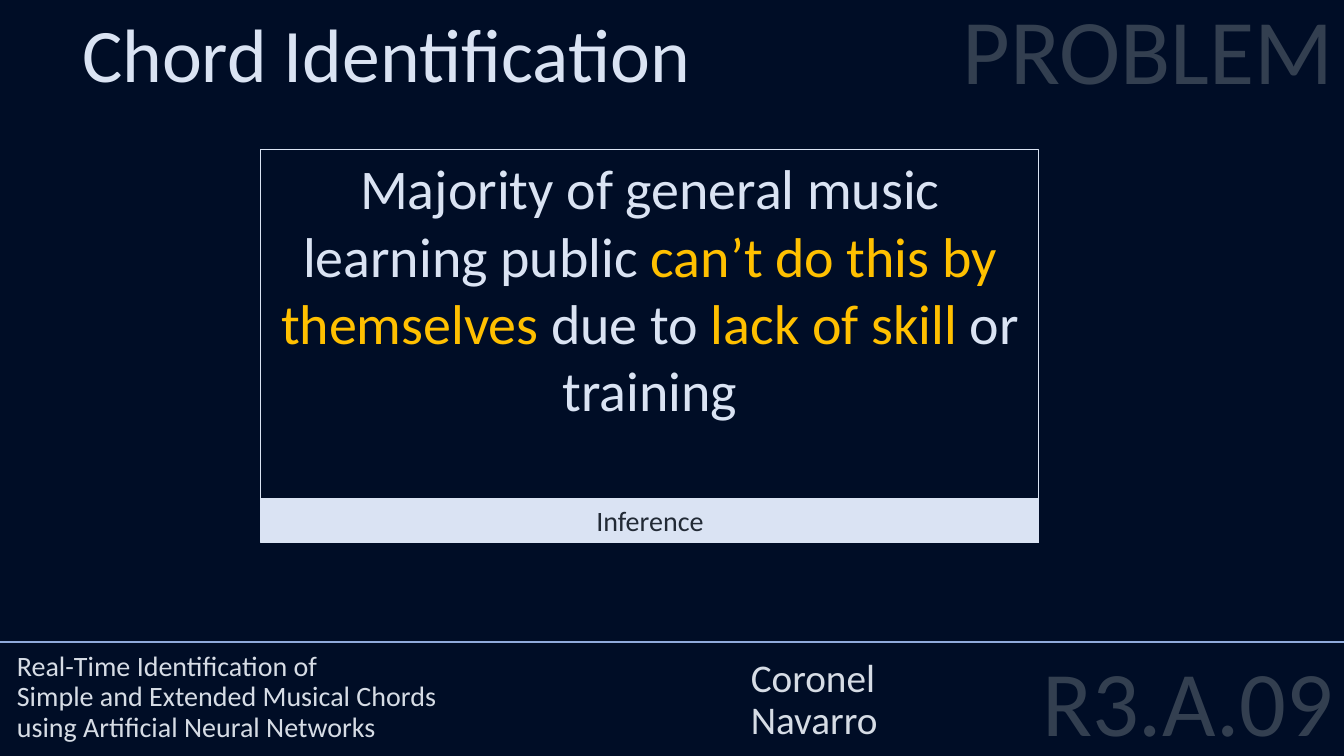
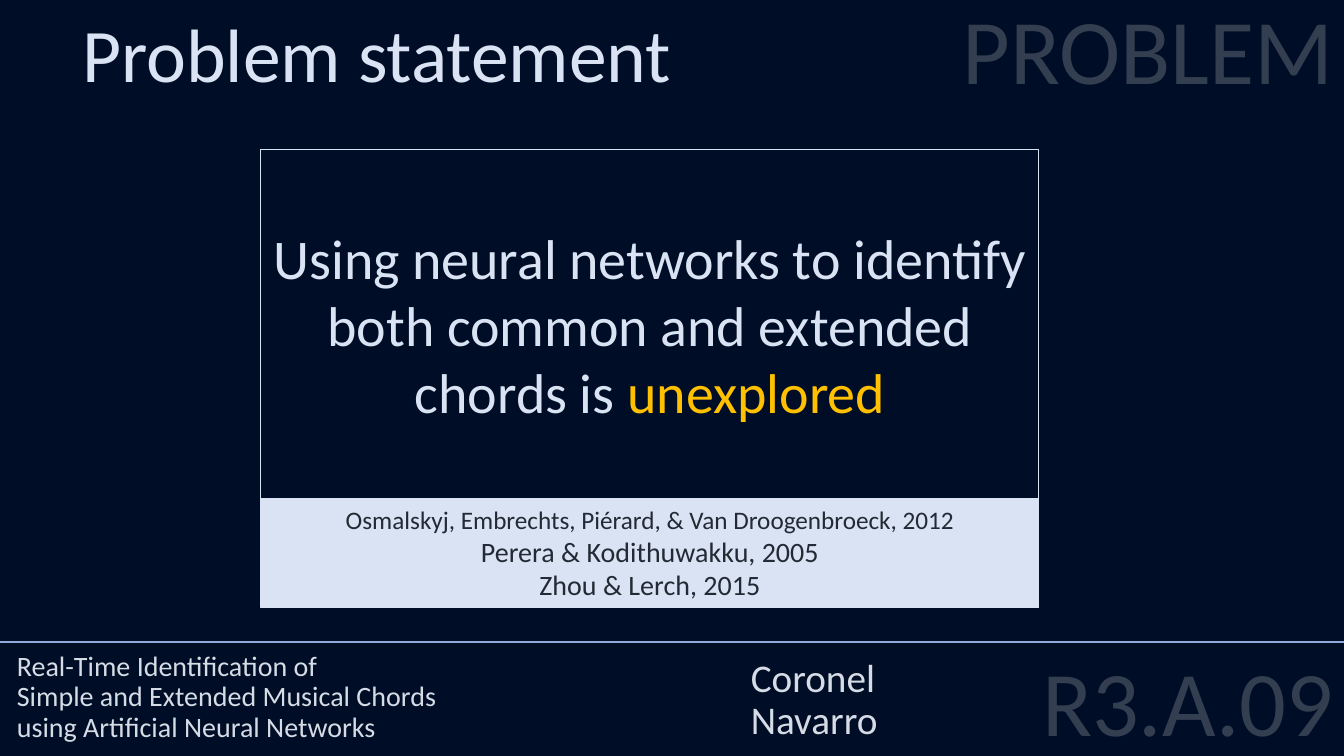
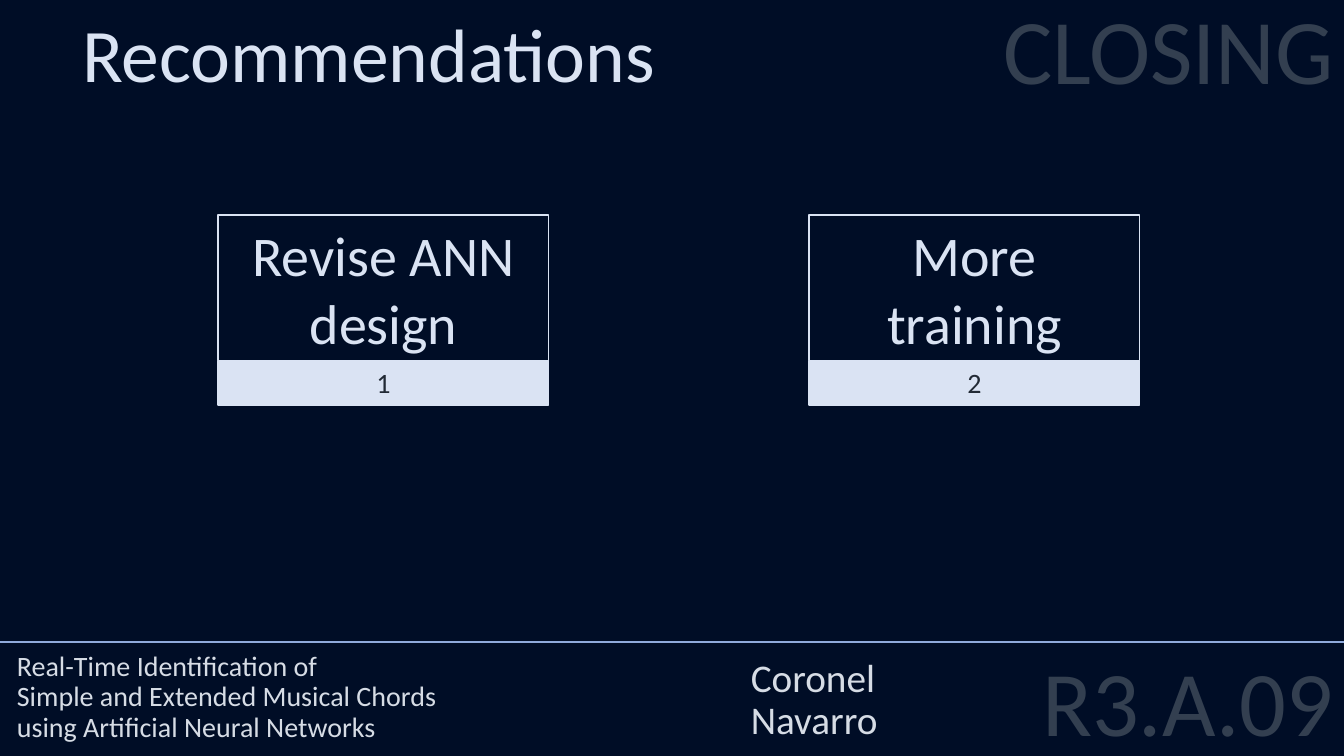
from lxml import etree
from pptx import Presentation
from pptx.dml.color import RGBColor
from pptx.enum.shapes import MSO_CONNECTOR, MSO_SHAPE
from pptx.enum.text import MSO_ANCHOR, MSO_AUTO_SIZE, PP_ALIGN
from pptx.oxml.ns import qn
from pptx.util import Emu, Pt

LEFT, CENTER, RIGHT = PP_ALIGN.LEFT, PP_ALIGN.CENTER, PP_ALIGN.RIGHT
TOP, MIDDLE, BOTTOM = MSO_ANCHOR.TOP, MSO_ANCHOR.MIDDLE, MSO_ANCHOR.BOTTOM
RECTANGLE, STRAIGHT = MSO_SHAPE.RECTANGLE, MSO_CONNECTOR.STRAIGHT
NO_AUTOFIT = MSO_AUTO_SIZE.NONE

PX = 914400 / 100.8
WIDTH, HEIGHT = 1344, 756
FONT = "Calibri"
COLORS = {
    "background": "000D26",
    "pale": "DAE3F3",
    "accent": "FFC000",
    "caption": "222A35",
    "footer": "D6DCE5",
    "ghost": "333F50",
    "rule": "8FAADC",
}
RGB = {name: RGBColor.from_string(value) for name, value in COLORS.items()}
TITLE_ONLY = 5


def px(*lengths):
    """Turn pixel lengths into EMU."""
    return [Emu(round(length * PX)) for length in lengths]


def write(shape, paragraphs, size, color, align=LEFT, anchor=TOP,
          line_spacing=1.0, space_before=0):
    """Fill a shape with paragraphs of (text, format overrides) runs."""
    frame = shape.text_frame
    frame.word_wrap = True
    frame.auto_size = NO_AUTOFIT
    frame.vertical_anchor = anchor
    for number, runs in enumerate(paragraphs):
        paragraph = frame.add_paragraph() if number else frame.paragraphs[0]
        paragraph.alignment = align
        paragraph.line_spacing = line_spacing
        paragraph.space_before = Pt(space_before)
        for text, override in runs:
            for line_number, line in enumerate(text.split("\n")):
                if line_number:
                    paragraph.add_line_break()
                run = paragraph.add_run()
                run.text = line
                run.font.name = FONT
                run.font.size = Pt(override.get("size", size))
                run.font.color.rgb = RGB[override.get("color", color)]


ACCENT = {"color": "accent"}
PROJECT = ("Real-Time Identification of\n"
           "Simple and Extended Musical Chords\n"
           "using Artificial Neural Networks")

# Each card: left, top, width, body height, caption height, anchor, body, caption
WIDE_CARD = (261, 149, 778, 350)
SMALL_CARD_TOP, SMALL_CARD_WIDTH, SMALL_CARD_HEIGHT = 215, 331, 146
CAPTION_HEIGHT = 44

problem_body = [[
    ("Majority of general music learning public ", {}),
    ("can’t do this by themselves", ACCENT),
    (" due to ", {}),
    ("lack of skill ", ACCENT),
    ("or training", {}),
]]
statement_body = [[
    ("Using neural networks to identify both common and extended chords is ", {}),
    ("unexplored", ACCENT),
]]
statement_sources = [
    [("Osmalskyj, Embrechts, Piérard, & Van Droogenbroeck, 2012", {"size": 18})],
    [("Perera & Kodithuwakku, 2005", {})],
    [("Zhou & Lerch, 2015", {})],
]
recommendation_cards = [
    (left, SMALL_CARD_TOP, SMALL_CARD_WIDTH, SMALL_CARD_HEIGHT, CAPTION_HEIGHT,
     MIDDLE, [[(advice, {})]], [[(str(number), {})]])
    for number, (left, advice) in enumerate(
        [(218, "Revise ANN design"), (809, "More training")], start=1)
]

SLIDES = [
    ("Chord Identification", "PROBLEM", [
        (*WIDE_CARD, CAPTION_HEIGHT, TOP, problem_body, [[("Inference", {})]])]),
    ("Problem statement", "PROBLEM", [
        (*WIDE_CARD, 109, MIDDLE, statement_body, statement_sources)]),
    ("Recommendations", "CLOSING", recommendation_cards),
]

prs = Presentation()
prs.slide_width, prs.slide_height = px(WIDTH, HEIGHT)
backdrop = prs.slide_master.background.fill
backdrop.solid()
backdrop.fore_color.rgb = RGB["background"]

for title_text, section, cards in SLIDES:
    slide = prs.slides.add_slide(prs.slide_layouts[TITLE_ONLY])
    shapes = slide.shapes

    title = shapes.title
    title.left, title.top, title.width, title.height = px(72, 2, 842, 102)
    write(title, [[(title_text, {})]], 54, "pale")

    code = shapes.add_textbox(*px(853, 661, 491, 105))
    write(code, [[("R3.A.09", {})]], 66, "ghost", align=RIGHT,
          line_spacing=0.8, space_before=10)

    footer_rule = shapes.add_connector(STRAIGHT, *px(0, 642, WIDTH, 642))
    footer_rule.line.color.rgb = RGB["rule"]
    footer_rule.line.width = Pt(1.5)
    etree.SubElement(footer_rule._element.spPr, qn("a:effectLst"))

    authors = shapes.add_textbox(*px(741, 447, 514, 301))
    write(authors, [[("Coronel", {})], [("Navarro", {})]], 28, "footer",
          anchor=BOTTOM, line_spacing=0.9)

    section_label = shapes.add_textbox(*px(224, 0, 1120, 361))
    write(section_label, [[(section, {})]], 66, "ghost", align=RIGHT,
          line_spacing=0.9, space_before=10)

    project = shapes.add_textbox(*px(7, 447, 734, 301))
    write(project, [[(PROJECT, {})]], 20, "footer", anchor=BOTTOM,
          line_spacing=0.9)

    for left, top, width, height, caption_height, anchor, body, caption in cards:
        body_box = shapes.add_shape(RECTANGLE, *px(left, top, width, height))
        body_box.fill.background()
        write(body_box, body, 40, "pale", align=CENTER, anchor=anchor)

        caption_box = shapes.add_shape(
            RECTANGLE, *px(left, top + height, width, caption_height))
        caption_box.fill.solid()
        caption_box.fill.fore_color.rgb = RGB["pale"]
        write(caption_box, caption, 20, "caption", align=CENTER)

        for box in (body_box, caption_box):
            box.shadow.inherit = False
            box.line.color.rgb = RGB["pale"]
            box.line.width = Pt(0.75)

prs.save("out.pptx")
